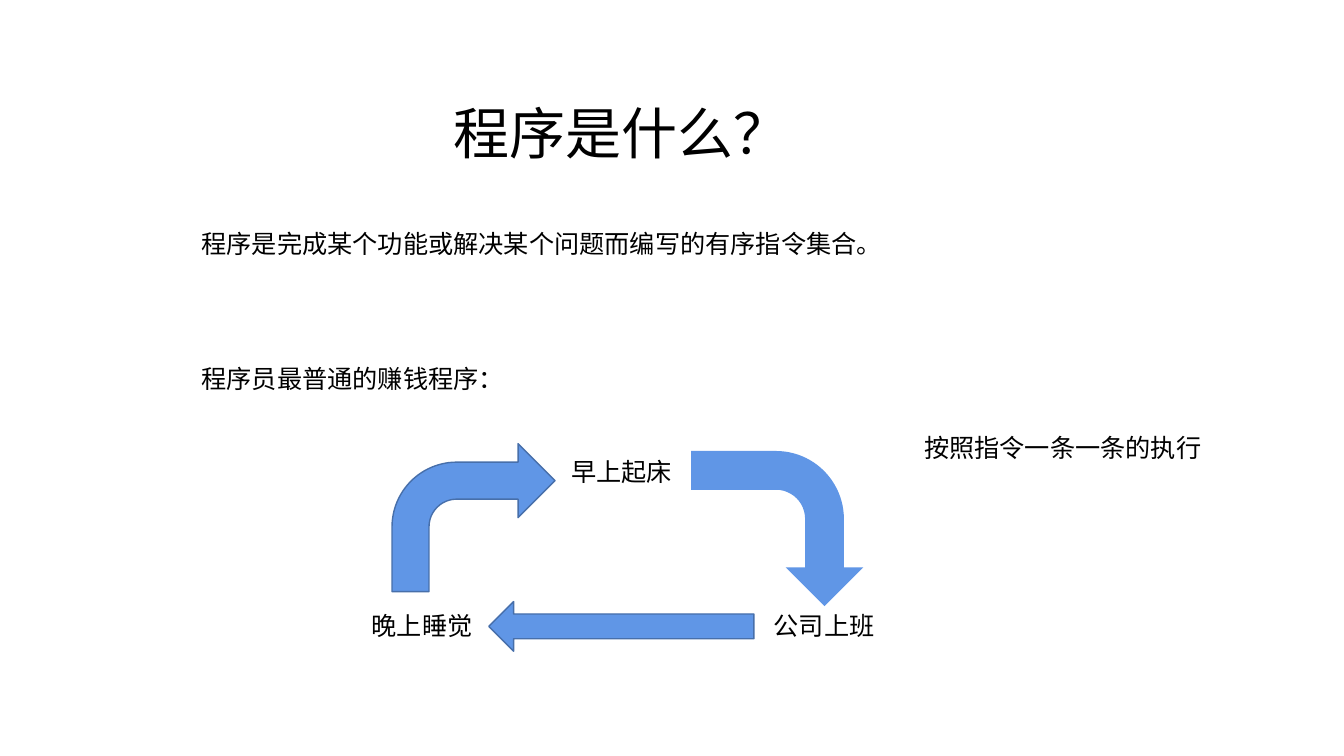
from pptx import Presentation
from pptx.dml.color import RGBColor
from pptx.enum.shapes import MSO_SHAPE
from pptx.enum.text import MSO_ANCHOR, MSO_AUTO_SIZE, PP_ALIGN
from pptx.oxml.ns import qn
from pptx.util import Cm, Pt
from lxml.etree import SubElement

BLACK = RGBColor(0x00, 0x00, 0x00)
WHITE = RGBColor(0xFF, 0xFF, 0xFF)
ARROW_FILL = RGBColor(0x60, 0x96, 0xE6)
ARROW_LINE = RGBColor(0x47, 0x6F, 0xAA)
FONT_NAME = "Noto Sans CJK SC"
LABEL_HEIGHT = 1.02


def set_attributes(target, formats):
    """Set each named attribute of the target."""
    for name, value in formats.items():
        setattr(target, name, value)


def write_text(shape, text, size):
    """Fill a shape with one unwrapped, left-aligned line."""
    set_attributes(shape.text_frame, {
        "word_wrap": False,
        "auto_size": MSO_AUTO_SIZE.SHAPE_TO_FIT_TEXT,
        "vertical_anchor": MSO_ANCHOR.TOP,
    })
    paragraph = shape.text_frame.paragraphs[0]
    set_attributes(paragraph, {"alignment": PP_ALIGN.LEFT, "line_spacing": 1.0, "space_before": Pt(0)})
    run = paragraph.add_run()
    run.text = text
    set_attributes(run.font, {"name": FONT_NAME, "size": Pt(size)})
    run.font.color.rgb = BLACK
    SubElement(run.font._element, qn("a:ea")).set("typeface", FONT_NAME)


def add_label(slide, text, left, top, width):
    """Add a one-line 18 pt label."""
    label = slide.shapes.add_textbox(Cm(left), Cm(top), Cm(width), Cm(LABEL_HEIGHT))
    write_text(label, text, 18)


def add_arrow(slide, kind, box, rotation=0, outlined=True):
    """Add a block arrow, with or without an outline."""
    arrow = slide.shapes.add_shape(kind, *map(Cm, box))
    arrow.rotation = rotation
    arrow.shadow.inherit = False
    arrow.fill.solid()
    arrow.fill.fore_color.rgb = ARROW_FILL
    if outlined:
        arrow.line.color.rgb = ARROW_LINE
        arrow.line.width = Pt(1)
    else:
        arrow.line.fill.background()


def add_title(slide, box):
    """Place and format the title placeholder."""
    title = slide.shapes.title
    set_attributes(title, dict(zip(("left", "top", "width", "height"), map(Cm, box))))
    write_text(title, "程序是什么？", 40)


def add_statements(slide, box):
    """Add the definition, the lead-in to the cycle and the remark at its right."""
    left, top, width, height = box
    remark_width = 7.49
    add_label(slide, "程序是完成某个功能或解决某个问题而编写的有序指令集合。", left, top, 17.65)
    add_label(slide, "程序员最普通的赚钱程序：", left, top + 3.38, 8.13)
    add_label(slide, "按照指令一条一条的执行", left + width - remark_width,
              top + height - LABEL_HEIGHT, remark_width)


def add_daily_cycle(slide, box):
    """Add the three steps of the day and the arrows joining them."""
    left, top, width, height = box
    step_width = 3.05
    lower_top = top + height - LABEL_HEIGHT
    add_label(slide, "早上起床", left + 5.03, top + 0.23, step_width)
    add_label(slide, "公司上班", left + width - step_width, lower_top, step_width)
    add_label(slide, "晚上睡觉", left, lower_top, step_width)
    add_arrow(slide, MSO_SHAPE.BENT_ARROW, (left + 8.51, top, 3.91, 4.34), 90, False)
    add_arrow(slide, MSO_SHAPE.LEFT_ARROW, (left + 3.2, top + 4.01, 6.68, 1.25))
    add_arrow(slide, MSO_SHAPE.BENT_ARROW, (left + 0.76, top + 0.03, 4.11, 3.73))


def build_program_slide(presentation):
    """Build the slide that explains what a program is."""
    slide = presentation.slides.add_slide(presentation.slide_layouts[5])
    slide.background.fill.solid()
    slide.background.fill.fore_color.rgb = WHITE
    add_title(slide, (11.18, 2.36, 8.97, 1.96))
    add_statements(slide, (4.83, 5.64, 25.7, 6.15))
    add_daily_cycle(slide, (9.12, 11.15, 13.18, 5.13))


def main():
    """Create and save the presentation."""
    presentation = Presentation()
    set_attributes(presentation, {"slide_width": Cm(33.87), "slide_height": Cm(19.05)})
    build_program_slide(presentation)
    presentation.save("out.pptx")


main()
